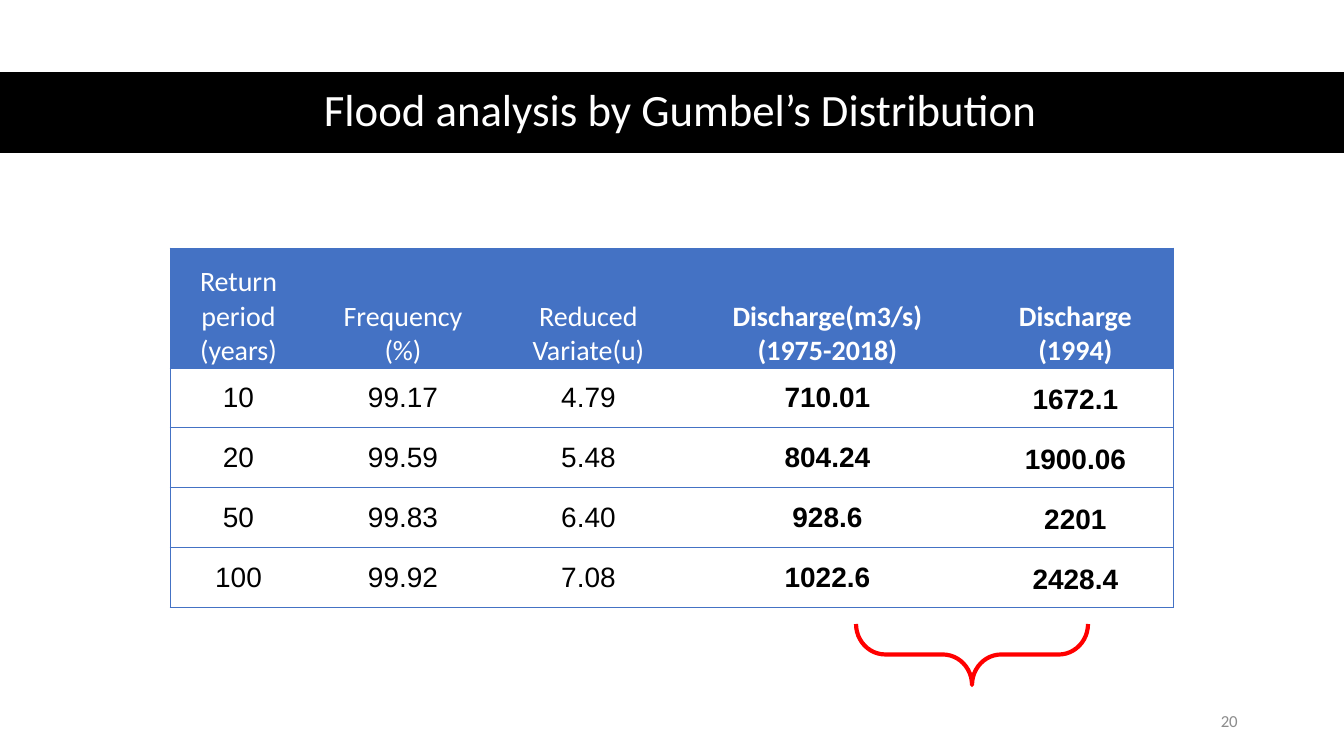
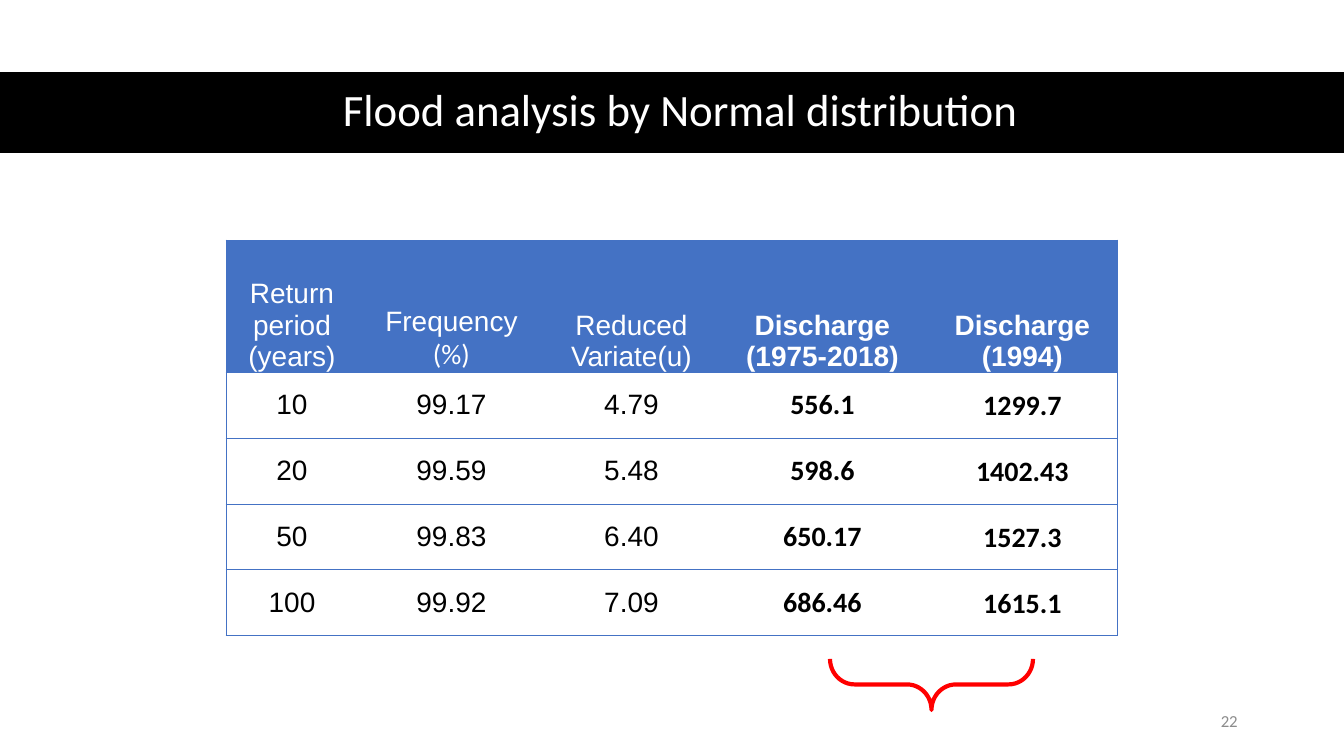
from dataclasses import dataclass

from lxml import etree
from pptx import Presentation
from pptx import util as u
from pptx.dml.color import RGBColor
from pptx.enum import shapes, text
from pptx.oxml import ns

SLIDE_WIDTH, SLIDE_HEIGHT = 1344, 756
EMU_PER_PX = 914400 / 134.4
TITLE_ONLY = 5
NO_TABLE_STYLE = "{2D5ABB26-0587-4C30-8999-92F81FD0307C}"
FIRST_BOLD_COLUMN = 3


@dataclass(frozen=True)
class Theme:
    black: str = "000000"
    white: str = "FFFFFF"
    blue: str = "4472C4"
    red: str = "FF0000"
    gray: str = "8C8C8C"
    main_font: str = "Calibri"
    number_font: str = "Arial"
    title_size: int = 24
    table_size: int = 15
    footer_size: int = 9
    grid_width: float = 0.5
    brace_width: float = 2.25


THEME = Theme()


@dataclass(frozen=True)
class FloodTable:
    left: int
    top: int
    columns: tuple
    header_height: int
    row_height: int
    header_font: str
    discharge_font: str
    rows: tuple


GUMBEL = FloodTable(
    170, 248, (137, 192, 179, 299, 197), 120, 60,
    THEME.main_font, THEME.number_font,
    (
        ("Return period\n(years)", "Frequency\n(%)", "Reduced Variate(u)",
         "Discharge(m3/s)\n(1975-2018)", "Discharge\n(1994)"),
        ("10", "99.17", "4.79", "710.01", "1672.1"),
        ("20", "99.59", "5.48", "804.24", "1900.06"),
        ("50", "99.83", "6.40", "928.6", "2201"),
        ("100", "99.92", "7.08", "1022.6", "2428.4"),
    ),
)

NORMAL = FloodTable(
    226, 240, (132, 187, 173, 209, 191), 132, 66,
    THEME.number_font, THEME.main_font,
    (
        ("Return period\n(years)", "Frequency\n(%)", "Reduced Variate(u)",
         "Discharge\n(1975-2018)", "Discharge\n(1994)"),
        ("10", "99.17", "4.79", "556.1", "1299.7"),
        ("20", "99.59", "5.48", "598.6", "1402.43"),
        ("50", "99.83", "6.40", "650.17", "1527.3"),
        ("100", "99.92", "7.09", "686.46", "1615.1"),
    ),
)


def px(length):
    return u.Emu(round(length * EMU_PER_PX))


def frame(left, top, width, height):
    return [px(length) for length in (left, top, width, height)]


def place(shape, left, top, width, height):
    shape.left, shape.top, shape.width, shape.height = frame(left, top, width, height)


def style(para, size, font, color, bold=False, align=text.PP_ALIGN.CENTER):
    para.alignment = align
    for span in para.runs:
        span.font.size = u.Pt(size)
        span.font.name = font
        span.font.bold = bold
        span.font.color.rgb = RGBColor.from_string(color)


def set_margins(target, left, top, right, bottom):
    target.margin_left, target.margin_top = px(left), px(top)
    target.margin_right, target.margin_bottom = px(right), px(bottom)


def add_title(page, wording):
    title = page.shapes.title
    place(title, 62, 71, 1236, 82)
    box = title.text_frame
    box.text = wording
    box.word_wrap = True
    box.auto_size = text.MSO_AUTO_SIZE.NONE
    box.vertical_anchor = text.MSO_ANCHOR.MIDDLE
    set_margins(box, 9, 5, 9, 5)
    para = box.paragraphs[0]
    para.line_spacing = 0.9
    style(para, THEME.title_size, THEME.main_font, THEME.white)

    band = page.shapes.add_shape(
        shapes.MSO_SHAPE.RECTANGLE, *frame(0, 72, SLIDE_WIDTH, 81))
    band.shadow.inherit = False
    band.fill.solid()
    band.fill.fore_color.rgb = RGBColor.from_string(THEME.black)
    band.line.fill.background()
    title.element.addprevious(band.element)


def add_borders(cell, sides):
    properties = cell._tc.get_or_add_tcPr()
    for side in sides:
        line = etree.SubElement(properties, ns.qn(f"a:ln{side}"),
                                w=str(u.Pt(THEME.grid_width)))
        fill = etree.SubElement(line, ns.qn("a:solidFill"))
        etree.SubElement(fill, ns.qn("a:srgbClr"), val=THEME.blue)


def format_cell(cell, row, column, data):
    header = row == 0
    last = column == len(data.columns) - 1
    bold = column >= FIRST_BOLD_COLUMN
    sides = ("L" if column == 0 else "") + ("R" if last else "") + "TB"
    add_borders(cell, sides)
    if header:
        cell.fill.solid()
        cell.fill.fore_color.rgb = RGBColor.from_string(THEME.blue)
        font, color = data.header_font, THEME.white
    else:
        cell.fill.background()
        font = data.discharge_font if bold else THEME.number_font
        color = THEME.black
    cell.vertical_anchor = text.MSO_ANCHOR.BOTTOM if header else text.MSO_ANCHOR.MIDDLE
    set_margins(cell, *((3, 3, 3, 0) if header or last else (13, 10, 13, 10)))
    for para in cell.text_frame.paragraphs:
        para_font = THEME.main_font if para.text == "(%)" else font
        style(para, THEME.table_size, para_font, color, bold)


def add_flood_table(page, data):
    heights = [data.header_height] + [data.row_height] * (len(data.rows) - 1)
    graphic = page.shapes.add_table(
        len(heights), len(data.columns),
        *frame(data.left, data.top, sum(data.columns), sum(heights)))
    table = graphic.table
    table.horz_banding = False
    table._tbl.tblPr.find(ns.qn("a:tableStyleId")).text = NO_TABLE_STYLE
    for column, width in zip(table.columns, data.columns):
        column.width = px(width)
    for row, height in zip(table.rows, heights):
        row.height = px(height)
    for row, values in enumerate(data.rows):
        for column, value in enumerate(values):
            cell = table.cell(row, column)
            cell.text_frame.text = value
            format_cell(cell, row, column, data)


def add_brace_below(page, left, top, width, height):
    shift = (width - height) / 2
    brace = page.shapes.add_shape(
        shapes.MSO_SHAPE.RIGHT_BRACE,
        *frame(left + shift, top - shift, height, width))
    brace.rotation = 90
    brace.adjustments[0] = 0.48
    brace.adjustments[1] = 0.5
    brace.shadow.inherit = False
    brace.fill.background()
    brace.line.color.rgb = RGBColor.from_string(THEME.red)
    brace.line.width = u.Pt(THEME.brace_width)


def add_page_number(page, number):
    box = page.shapes.add_textbox(*frame(949, 700, 302, 41)).text_frame
    box.word_wrap = True
    box.vertical_anchor = text.MSO_ANCHOR.MIDDLE
    box.text = str(number)
    style(box.paragraphs[0], THEME.footer_size, THEME.main_font, THEME.gray,
          align=text.PP_ALIGN.RIGHT)


def add_flood_page(deck, title, data, number, brace):
    page = deck.slides.add_slide(deck.slide_layouts[TITLE_ONLY])
    add_title(page, title)
    add_flood_table(page, data)
    add_page_number(page, number)
    add_brace_below(page, *brace)


def main():
    deck = Presentation()
    deck.slide_width, deck.slide_height = px(SLIDE_WIDTH), px(SLIDE_HEIGHT)
    add_flood_page(deck, "Flood analysis by Gumbel’s Distribution", GUMBEL, 20,
                   (856, 624, 232, 61))
    add_flood_page(deck, "Flood analysis by Normal distribution", NORMAL, 22,
                   (830, 659, 203, 51))
    deck.save("out.pptx")


if __name__ == "__main__":
    main()
